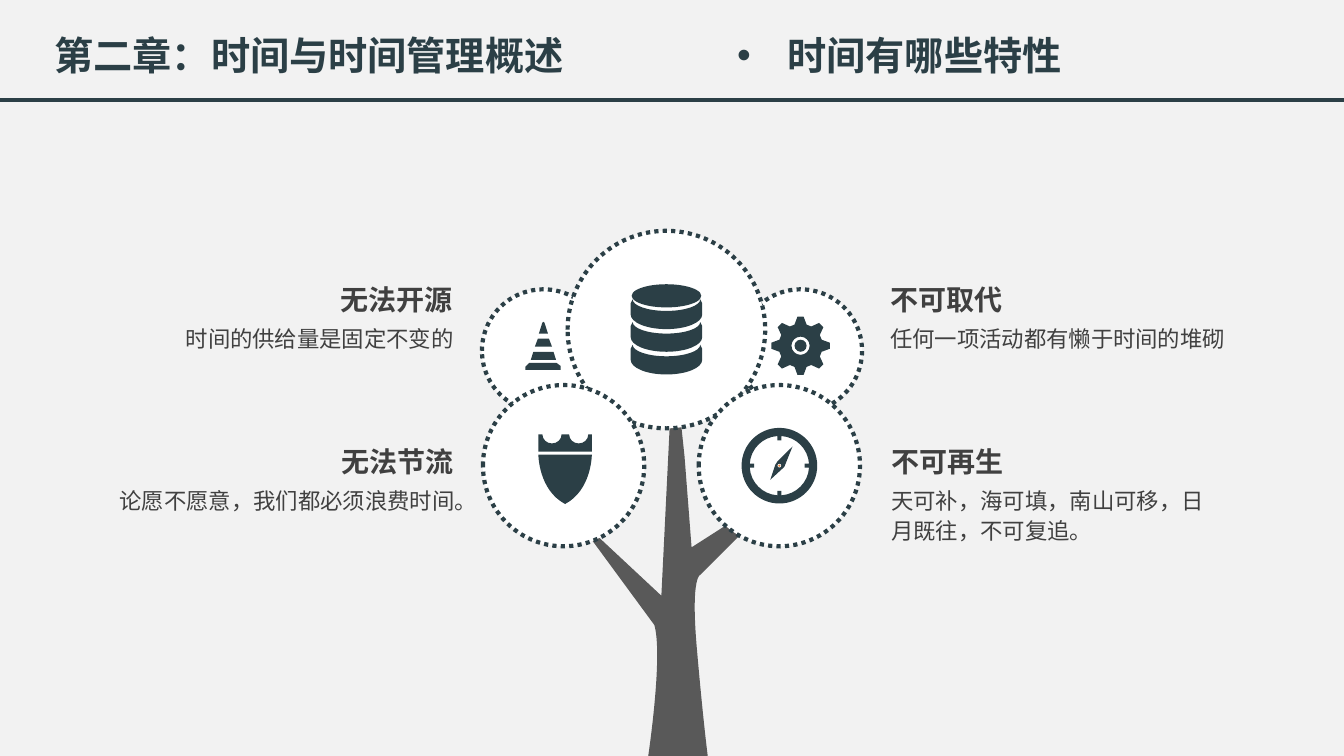
"""Build a slide that shows four traits of time around a tree."""
from math import cos, pi, sin, tan

from lxml import etree
from pptx import Presentation
from pptx.dml.color import RGBColor
from pptx.enum.dml import MSO_LINE
from pptx.enum.shapes import MSO_CONNECTOR, MSO_SHAPE
from pptx.enum.text import MSO_ANCHOR, MSO_AUTO_SIZE, PP_ALIGN
from pptx.oxml.ns import qn
from pptx.util import Inches, Pt

LEFT, RIGHT = PP_ALIGN.LEFT, PP_ALIGN.RIGHT
TOP, FIXED = MSO_ANCHOR.TOP, MSO_AUTO_SIZE.NONE
OVAL, STRAIGHT = MSO_SHAPE.OVAL, MSO_CONNECTOR.STRAIGHT
DOTS = MSO_LINE.ROUND_DOT
FONT = "Noto Sans CJK SC"
COLORS = {"page": "F2F2F2", "dark": "2B3F46", "text": "404040",
          "wood": "595959", "white": "FFFFFF", "pin": "ED7D31"}


def tint(name):
    return RGBColor.from_string(COLORS[name])


def place(shape, x, y, w, h):
    shape.left, shape.top = Inches(x), Inches(y)
    shape.width, shape.height = Inches(w), Inches(h)


def write(shape, text, size, color, bold=False, align=LEFT, wrap=True, lead=1.0):
    frame = shape.text_frame
    frame.auto_size, frame.word_wrap = FIXED, wrap
    frame.vertical_anchor = TOP
    para = frame.paragraphs[0]
    para.text = text
    para.alignment, para.line_spacing = align, lead
    para.space_before = Pt(0)
    font = para.font
    font.size, font.bold = Pt(size), bold
    font.color.rgb = tint(color)
    font.name = FONT
    props = para._p.pPr.find(qn("a:defRPr"))
    etree.SubElement(props, qn("a:ea")).set("typeface", FONT)


def label(slide, x, y, w, h, *args, **opts):
    box = slide.shapes.add_textbox(Inches(x), Inches(y), Inches(w), Inches(h))
    write(box, *args, **opts)


def paint(shape, color):
    shape.shadow.inherit = False
    shape.fill.solid()
    shape.fill.fore_color.rgb = tint(color)
    shape.line.fill.background()


def disc(parts, x, y, rx, ry, color):
    shape = parts.add_shape(OVAL, Inches(x - rx), Inches(y - ry),
                            Inches(2 * rx), Inches(2 * ry))
    paint(shape, color)
    return shape


def is_curve(step):
    return len(step) == 3


def draw(parts, x, y, paths, color="dark"):
    form = None
    for path in paths:
        flat = [p for step in path for p in (step if is_curve(step) else [step])]
        ring = [(Inches(x + a), Inches(y + b)) for a, b in flat]
        if form:
            form.move_to(*ring[0])
        else:
            form = parts.build_freeform(*ring[0])
        form.add_line_segments(ring[1:], close=True)
    shape = form.convert_to_shape()
    lines = iter(list(shape._element.iter(qn("a:lnTo"))))
    for step in (step for path in paths for step in path[1:]):
        line = next(lines)
        if is_curve(step):
            line.addprevious(bend := etree.Element(qn("a:cubicBezTo")))
            for part in (line, next(lines), next(lines)):
                bend.append(part[0])
                part.getparent().remove(part)
    paint(shape, color)


def arc(x, y, rx, ry, start=0, end=360):
    count = max(1, round(abs(end - start) / 90))
    turn = (end - start) * pi / 180 / count
    k = 4 / 3 * tan(turn / 4)
    spots = []
    for i in range(count + 1):
        t = start * pi / 180 + i * turn
        c, s = cos(t), sin(t)
        spots.append([(x + rx * (c - n * s), y + ry * (s + n * c)) for n in (0, k, -k)])
    return [spots[0][0]] + [(a[1], b[2], b[0]) for a, b in zip(spots, spots[1:])]


def gear(parts, x, y):
    tooth = [(0.21, -0.06), (0.29, -0.03), (0.29, 0.03), (0.21, 0.06)]
    rim = [(a * cos(k * pi / 4) - b * sin(k * pi / 4),
            a * sin(k * pi / 4) + b * cos(k * pi / 4))
           for k in range(8) for a, b in tooth]
    draw(parts, x, y - 0.05, [rim, arc(0, 0, 0.09, 0.09)])
    disc(parts, x, y - 0.05, 0.06, 0.06, "dark")


def cone(parts, x, y):
    foot = [(-0.18, 0.24), (-0.18, 0.21), (-0.14, 0.17),
            (0.13, 0.17), (0.17, 0.2), (0.17, 0.24)]
    bands = [[(-low, base), (-high, top), (high, top), (low, base)]
             for low, high, base, top in ((0.125, 0.1, 0.14, 0.06),
                                          (0.085, 0.055, 0.01, -0.07))]
    tip = [(-0.045, -0.12), (-0.02, -0.2),
           ((-0.01, -0.25), (0.01, -0.25), (0.02, -0.2)), (0.045, -0.12)]
    draw(parts, x, y - 0.05, [foot, *bands, tip])


def stack(parts, x, y):
    band = (arc(0, 0, 0.335, 0.115, 0, 180) + [(-0.355, 0.04)]
            + arc(0, 0.15, 0.355, 0.145, 180, 0) + [(0.355, 0.04)])
    for i in range(3):
        draw(parts, x, y - 0.3 + 0.225 * i, [band])
    disc(parts, x, y - 0.335, 0.345, 0.115, "dark")


def compass(parts, x, y):
    inner = []
    for k in range(4):
        c, s = cos(k * pi / 2), sin(k * pi / 2)
        inner += [(0.25 * c - b * s, 0.25 * s + b * c) for b in (-0.02, 0.02)]
        inner += arc(0, 0, 0.295, 0.295, 90 * k + 4, 90 * k + 86)
    needle = [(0.13, -0.19), (0.05, 0.01), (0.03, 0.03),
              (-0.09, 0.14), (-0.04, -0.01), (-0.02, -0.04)]
    draw(parts, x, y, [arc(0, 0, 0.375, 0.375), inner])
    draw(parts, x, y, [needle, arc(0, 0, 0.02, 0.02)])
    disc(parts, x, y, 0.01, 0.01, "pin")


def shield(parts, x, y):
    plate = [(0, 0.38), ((0.265, 0.24), (0.265, -0.11), (0.265, -0.11)),
             (-0.265, -0.11), ((-0.265, -0.11), (-0.265, 0.24), (0, 0.38))]
    crown = ([(-0.265, -0.31)] + arc(-0.13, -0.31, 0.095, 0.09, 180, 0)
             + arc(0.135, -0.31, 0.095, 0.09, 180, 0)
             + [(0.265, -0.31), (0.265, -0.14), (-0.265, -0.14)])
    draw(parts, x + 0.015, y, [plate])
    draw(parts, x + 0.015, y, [crown])


def bubble(slide, x, y, radius, icon):
    parts = slide.shapes.add_group_shape().shapes
    line = disc(parts, x, y, radius, radius, "white").line
    line.color.rgb = tint("dark")
    line.width, line.dash_style = Pt(3), DOTS
    icon(parts, x, y)


def trunk(slide, x, y):
    bark = [(-0.25, 4.02), ((-0.25, 4.02), (-0.1, 3.02), (-0.19, 2.72)),
            (-1.02, 1.59), (-0.12, 2.43), (0, 0), (0.11, 1.05),
            (0.18, 1.95), (1.18, 1.31), (0.27, 2.22),
            ((0.27, 2.22), (0.17, 2.22), (0.23, 2.93)),
            ((0.29, 3.63), (0.34, 4.02), (0.34, 4.02))]
    draw(slide.shapes, x, y, [bark], "wood")


def trait(slide, x, y, w, head, text, align):
    edge = x + w - 1.32 if align == RIGHT else x
    label(slide, edge, y, 1.32, 0.44, head, 20, "text", bold=True, wrap=False)
    label(slide, x, y + 0.39, w, 0.77, text, 16, "text", align=align, lead=1.13)


def header(slide, w, y):
    rule = slide.shapes.add_connector(STRAIGHT, 0, Inches(y), Inches(w), Inches(y))
    rule.line.color.rgb, rule.line.width = tint("dark"), Pt(3)
    etree.SubElement(rule._element.spPr, qn("a:effectLst"))
    title, topic = slide.shapes.title, slide.placeholders[1]
    place(title, 0.44, y - 0.73, 5.31, 0.57)
    write(title, "第二章：时间与时间管理概述", 28, "dark", True, wrap=False)
    place(topic, 7.21, y - 0.73, 5.54, 0.57)
    props = topic.text_frame.paragraphs[0]._p.get_or_add_pPr()
    props.set("marL", str(Inches(0.5)))
    props.set("indent", str(-Inches(0.5)))
    etree.SubElement(props, qn("a:buChar")).set("char", "•")
    write(topic, "时间有哪些特性", 28, "dark", True)


def main():
    deck = Presentation()
    deck.slide_width, deck.slide_height = Inches(13.33), Inches(7.5)
    slide = deck.slides.add_slide(deck.slide_layouts[1])
    slide.background.fill.solid()
    slide.background.fill.fore_color.rgb = tint("page")
    header(slide, 13.33, 0.99)
    trunk(slide, 6.68, 3.48)
    for row in ((8.73, 2.75, 3.58, "不可取代", "任何一项活动都有懒于时间的堆砌", LEFT),
                (8.74, 4.36, 3.32, "不可再生", "天可补，海可填，南山可移，日月既往，不可复追。", LEFT),
                (0.93, 4.36, 3.68, "无法节流", "论愿不愿意，我们都必须浪费时间。", RIGHT),
                (1.11, 2.75, 3.49, "无法开源", "时间的供给量是固定不变的", RIGHT)):
        trait(slide, *row)
    for ball in ((7.94, 3.48, 0.61, gear), (5.39, 3.48, 0.61, cone),
                 (6.61, 3.27, 0.98, stack), (7.73, 4.62, 0.8, compass),
                 (5.59, 4.62, 0.8, shield)):
        bubble(slide, *ball)
    deck.save("out.pptx")


if __name__ == "__main__":
    main()
